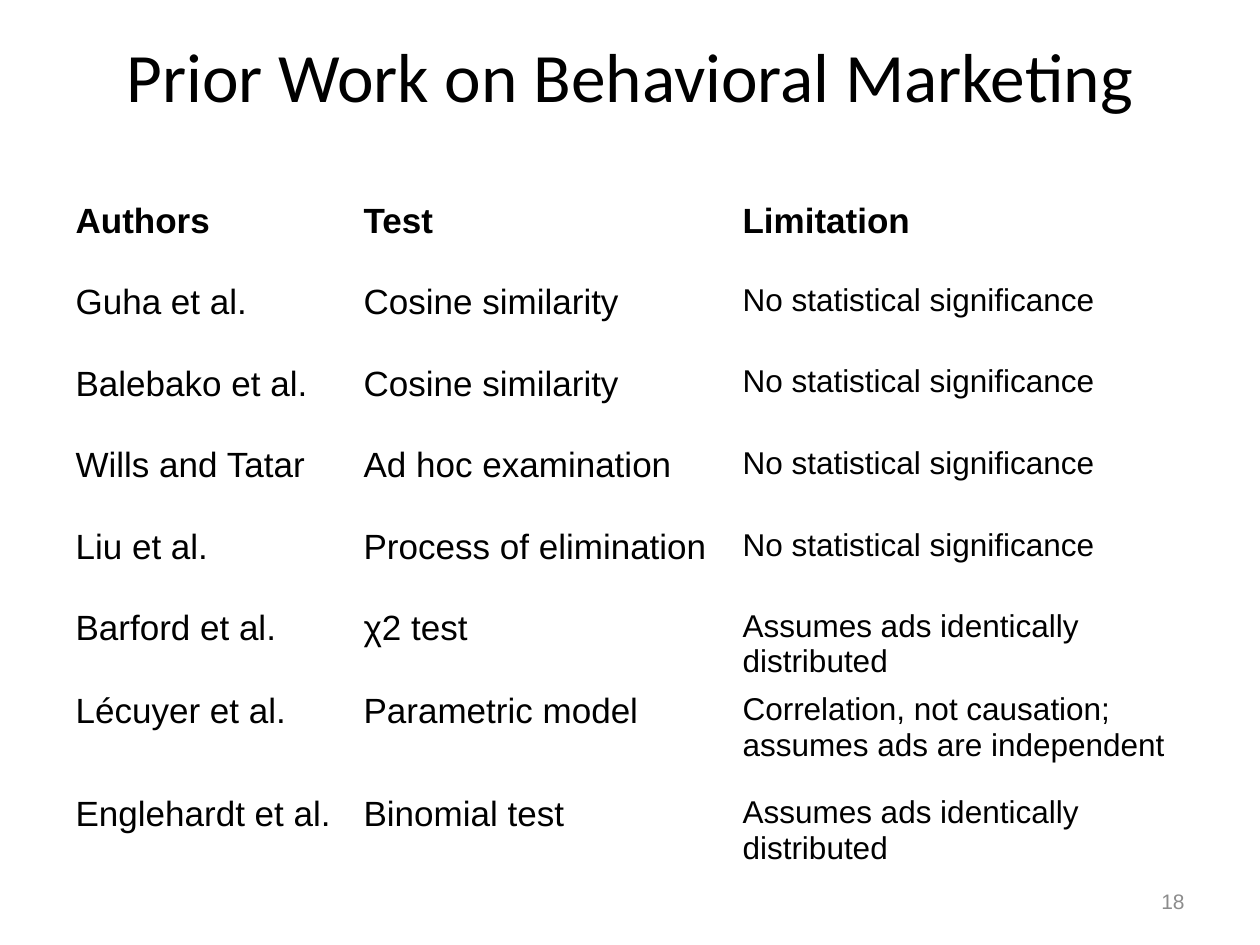
import pptx
import pptx.util
import pptx.dml.color
import pptx.enum.text

PX = 914400 // 126
BLACK = pptx.dml.color.RGBColor(0x00, 0x00, 0x00)
GREY = pptx.dml.color.RGBColor(0x8C, 0x8C, 0x8C)
ALIGN = pptx.enum.text.PP_ALIGN
MIDDLE = pptx.enum.text.MSO_ANCHOR.MIDDLE

TITLE = "Prior Work on Behavioral Marketing"
PAGE = "18"
NO_SIGNIFICANCE = "No statistical significance"
IDENTICAL_ADS = "Assumes ads identically distributed"
ROWS = [
    ("Authors", "Test", "Limitation"),
    ("Guha et al.", "Cosine similarity", NO_SIGNIFICANCE),
    ("Balebako et al.", "Cosine similarity", NO_SIGNIFICANCE),
    ("Wills and Tatar", "Ad hoc examination", NO_SIGNIFICANCE),
    ("Liu et al.", "Process of elimination", NO_SIGNIFICANCE),
    ("Barford et al.", "χ2 test", IDENTICAL_ADS),
    ("Lécuyer et al.", "Parametric model",
     "Correlation, not causation; assumes ads are independent"),
    ("Englehardt et al.", "Binomial test", IDENTICAL_ADS),
]
COL_WIDTHS = (288, 379, 504)
TABLE_LEFT, TABLE_TOP, TABLE_HEIGHT = 63, 195, 674
TALL_ROW, TALL_HEIGHT = 6, 103


def box(*lengths):
    return [round(n * PX) for n in lengths]


def write(tf, text, size, font="Arial", color=BLACK, bold=False, align=ALIGN.LEFT):
    p = tf.paragraphs[0]
    p.alignment = align
    r = p.add_run()
    r.text = text
    formats = {"size": pptx.util.Pt(size), "name": font, "bold": bold}
    for name, value in formats.items():
        setattr(r.font, name, value)
    r.font.color.rgb = color


def add_title(s):
    title = s.shapes.title
    title.left, title.top, title.width, title.height = box(63, -4, 1134, 158)
    title.text_frame.vertical_anchor = MIDDLE
    write(title.text_frame, TITLE, 39.6, "Calibri", align=ALIGN.CENTER)


def add_work_table(s):
    frame = s.shapes.add_table(
        len(ROWS), len(COL_WIDTHS),
        *box(TABLE_LEFT, TABLE_TOP, sum(COL_WIDTHS), TABLE_HEIGHT))
    table = frame.table
    table.first_row = table.horz_banding = False
    for column, width in zip(table.columns, COL_WIDTHS):
        column.width = width * PX
    row_height = (TABLE_HEIGHT - TALL_HEIGHT) / (len(ROWS) - 1)
    for i, texts in enumerate(ROWS):
        height = TALL_HEIGHT if i == TALL_ROW else row_height
        table.rows[i].height = round(height * PX)
        for j, text in enumerate(texts):
            cell = table.cell(i, j)
            cell.fill.background()
            size = 18 if i > 0 and j == 2 else 20
            write(cell.text_frame, text, size, bold=i == 0)


def add_page_number(s):
    tf = s.shapes.add_textbox(*box(903, 876, 294, 50)).text_frame
    tf.word_wrap = True
    tf.vertical_anchor = MIDDLE
    write(tf, PAGE, 12, color=GREY, align=ALIGN.RIGHT)


def main():
    prs = pptx.Presentation()
    prs.slide_width, prs.slide_height = box(1260, 945)
    s = prs.slides.add_slide(prs.slide_layouts[5])
    add_title(s)
    add_work_table(s)
    add_page_number(s)
    prs.save("out.pptx")


if __name__ == "__main__":
    main()
